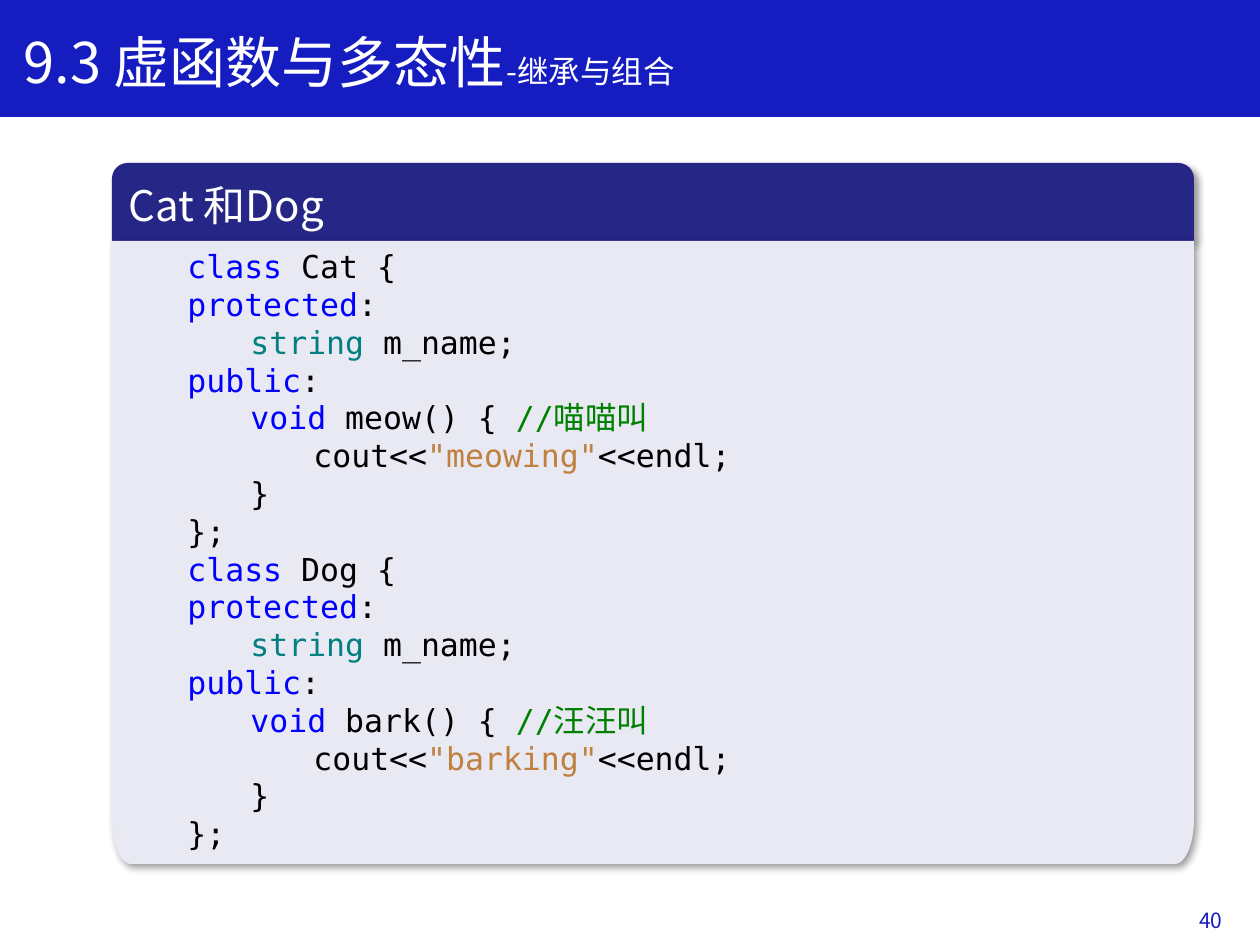
from math import cos, pi, sin

from lxml.etree import SubElement
from pptx import Presentation
from pptx.dml.color import RGBColor
from pptx.enum.shapes import MSO_SHAPE as Shape
from pptx.enum.text import MSO_ANCHOR as Anchor, PP_ALIGN as Align
from pptx.oxml.ns import qn
from pptx.util import Pt

SCALE = 914400 / 126  # EMU per px
SANS, MONO = "Noto Sans CJK SC", "DejaVu Sans Mono"
BLUE, NAVY, PALE, WHITE = "151DC1", "262686", "E9E9F3", "FFFFFF"
BLACK, KEYWORD, TYPE, COMMENT, STRING = "000000", "0000FF", "008080", "008000", "C08040"


def px(*lengths):
    return [round(length * SCALE) for length in lengths]


def write(paragraph, text, size=18, font=SANS, color=WHITE):
    run = paragraph.add_run()
    run.text = text
    run.font.size = Pt(size)
    run.font.name = font
    run.font.color.rgb = RGBColor.from_string(color)
    east_asian = SubElement(run.font._element, qn("a:ea"))
    east_asian.set("typeface", SANS)


presentation = Presentation()
presentation.slide_width, presentation.slide_height = px(1260, 945)
slide = presentation.slides.add_slide(presentation.slide_layouts[6])

# Title bar
bar = slide.shapes.add_shape(Shape.RECTANGLE, *px(0, 0, 1260, 116))
bar.shadow.inherit = False
bar.fill.solid()
bar.fill.fore_color.rgb = bar.line.color.rgb = RGBColor.from_string(BLUE)
bar.line.width = Pt(1)

# Card: header with rounded top, body with rounded bottom corners
left, right, top, seam, bottom = 112, 1194, 163, 241, 864
radius_x, radius_y = 19, 45
card = slide.shapes.add_group_shape()
header = card.shapes.add_shape(
    Shape.ROUND_2_SAME_RECTANGLE, *px(left, top, right - left, seam - top))
header.adjustments[0] = 0.2

outline = [(right, seam)]
for center_x, start in ((right - radius_x, 0), (left + radius_x, pi / 2)):
    for step in range(13):
        angle = start + step * pi / 24
        outline.append((center_x + radius_x * cos(angle),
                        bottom - radius_y + radius_y * sin(angle)))
builder = card.shapes.build_freeform(*px(left, seam))
builder.add_line_segments([px(*point) for point in outline], close=True)
body = builder.convert_to_shape()

for shape, color in ((header, NAVY), (body, PALE)):
    shape.fill.solid()
    shape.fill.fore_color.rgb = RGBColor.from_string(color)
    shape.line.fill.background()
    shape.shadow.inherit = False
    effects = shape.element.spPr.find(qn("a:effectLst"))
    shadow = SubElement(effects, qn("a:outerShdw"), blurRad=str(Pt(4)), dist=str(Pt(3)),
                        dir="2700000", algn="tl", rotWithShape="0")
    shadow_color = SubElement(shadow, qn("a:srgbClr"), val=BLACK)
    SubElement(shadow_color, qn("a:alpha"), val="40000")
    shape.text_frame.word_wrap = True

header.text_frame.vertical_anchor = Anchor.MIDDLE
heading = header.text_frame.paragraphs[0]
heading.alignment = Align.LEFT
write(heading, "Cat 和Dog", size=24)

# Code: both classes share one pattern, each line is (indent level, runs)
code = []
for name, method, comment, sound in (("Cat", "meow", "喵喵叫", "meowing"),
                                     ("Dog", "bark", "汪汪叫", "barking")):
    code += [
        (1, [("class ", KEYWORD), (f"{name} {{", BLACK)]),
        (1, [("protected", KEYWORD), (":", BLACK)]),
        (2, [("string ", TYPE), ("m_name;", BLACK)]),
        (1, [("public", KEYWORD), (":", BLACK)]),
        (2, [("void ", KEYWORD), (f"{method}() {{ ", BLACK), ("//", COMMENT),
             (comment, COMMENT)]),
        (3, [("cout<<", BLACK), (f'"{sound}"', STRING), ("<<endl;", BLACK)]),
        (2, [("}", BLACK)]),
        (1, [("};", BLACK)]),
    ]

frame = body.text_frame
frame.vertical_anchor = Anchor.TOP
for number, (level, runs) in enumerate(code):
    paragraph = frame.add_paragraph() if number else frame.paragraphs[0]
    paragraph.alignment = Align.LEFT
    paragraph.line_spacing = Pt(21.6)
    properties = paragraph._p.get_or_add_pPr()
    properties.set("marL", str(px(63 * level)[0]))
    properties.set("indent", "0")
    for text, color in runs:
        write(paragraph, text, font=SANS if text.isalpha() and not text.isascii() else MONO,
              color=color)

# Title and page number
for box, alignment, runs in (
    ((11, 21, 1200, 81), Align.LEFT,
     [("9.3 虚函数与多态性", 32, WHITE), ("-继承与组合", 18, WHITE)]),
    ((951, 895, 284, 50), Align.RIGHT, [("40", 12, BLUE)]),
):
    frame = slide.shapes.add_textbox(*px(*box)).text_frame
    frame.word_wrap = True
    frame.vertical_anchor = Anchor.MIDDLE
    paragraph = frame.paragraphs[0]
    paragraph.alignment = alignment
    for text, size, color in runs:
        write(paragraph, text, size=size, color=color)

presentation.save("out.pptx")
